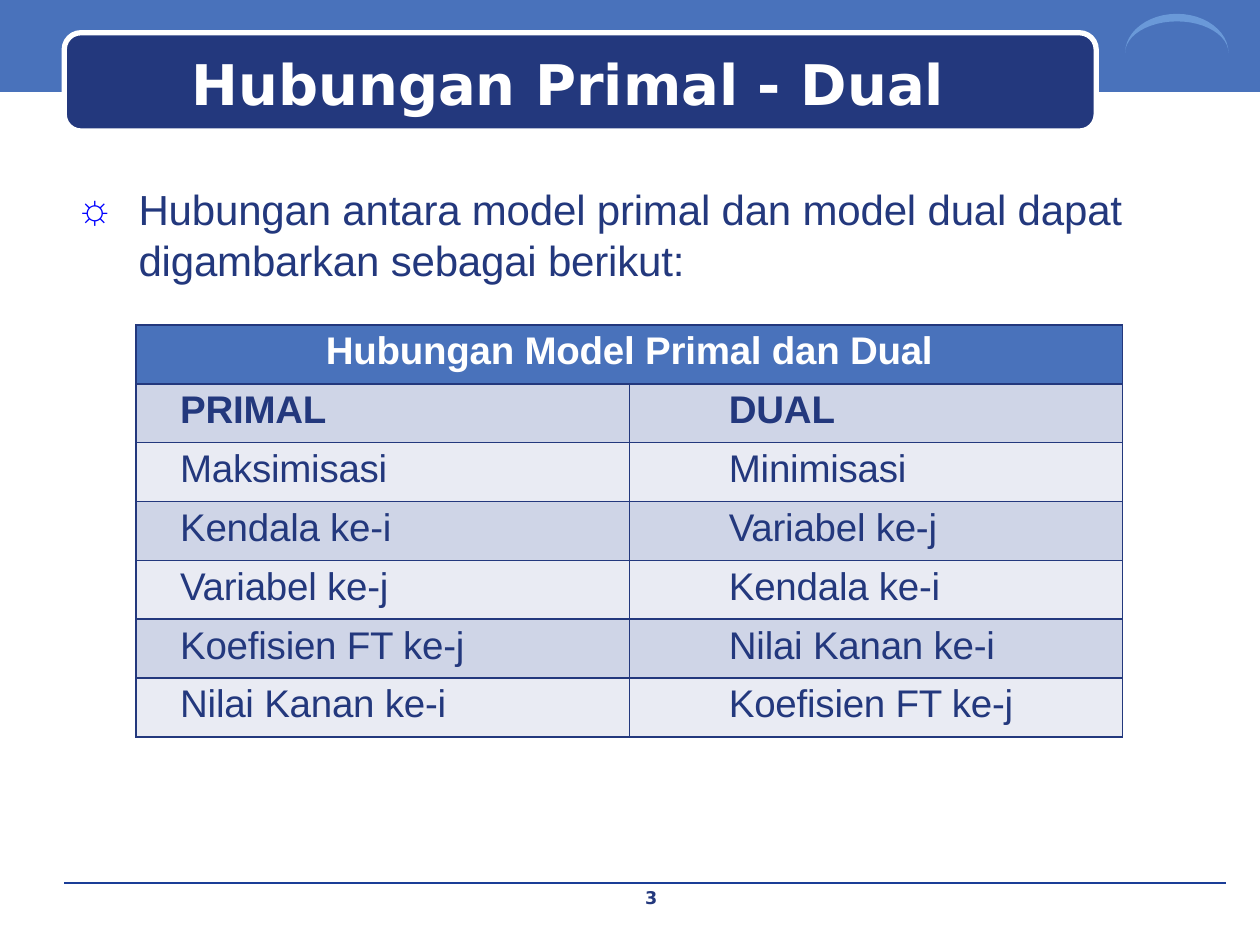
from dataclasses import dataclass
from math import cos, pi, sin

from lxml.etree import SubElement
from pptx import Presentation
from pptx.dml.color import RGBColor
from pptx.enum.shapes import MSO_CONNECTOR as Connector, MSO_SHAPE as Shape
from pptx.enum.text import PP_ALIGN as Align
from pptx.oxml.ns import qn
from pptx.util import Inches, Pt


@dataclass(frozen=True)
class Theme:
    navy: str = "23387D"
    blue: str = "4972BB"
    light_blue: str = "6A99D8"
    rule: str = "1A3D97"
    bullet: str = "0000FF"
    white: str = "FFFFFF"
    bands: tuple = ("CFD5E7", "E9EBF3")
    body_font: str = "Arial"
    title_font: str = "DejaVu Sans"
    title_size: int = 32
    body_size: int = 24
    table_size: int = 22
    number_size: int = 10


def rgb(color):
    return RGBColor.from_string(color)


def write(paragraph, text, *, size, color, font, bold=False, align=None,
          indent=0, first=0, bullet=None, spacing=-10):
    """Put formatted text into a paragraph; spacing is in 1/100 pt."""
    properties = paragraph._p.get_or_add_pPr()
    properties.set("marL", str(Inches(indent)))
    properties.set("indent", str(Inches(first)))
    if align is not None:
        paragraph.alignment = align
    if bullet:
        character, bullet_color = bullet
        bullet_fill = SubElement(properties, qn("a:buClr"))
        SubElement(bullet_fill, qn("a:srgbClr"), val=bullet_color)
        SubElement(properties, qn("a:buFont"), typeface=font)
        SubElement(properties, qn("a:buChar"), char=character)
    run = paragraph.add_run()
    run.text = text
    run.font.name = font
    run.font.size = Pt(size)
    run.font.bold = bold
    run.font.color.rgb = rgb(color)
    run._r.get_or_add_rPr().set("spc", str(spacing))


class SlideBuilder:
    def __init__(self, slide, theme):
        self.slide = slide
        self.theme = theme

    def paint(self, shape, fill, line=None, width=1):
        shape.shadow.inherit = False
        shape.fill.solid()
        shape.fill.fore_color.rgb = rgb(fill)
        if line:
            shape.line.color.rgb = rgb(line)
            shape.line.width = Pt(width)
        else:
            shape.line.fill.background()

    def box(self, kind, left, top, width, height, fill, line=None, line_width=1):
        shape = self.slide.shapes.add_shape(
            kind, Inches(left), Inches(top), Inches(width), Inches(height))
        self.paint(shape, fill, line, line_width)
        return shape

    def crescent(self, center, base, radius, outer, inner, fill, steps=24):
        """Fill the area between two half ellipses that share a base."""
        angles = [pi * step / steps for step in range(steps + 1)]
        points = [(Inches(center - radius * cos(angle)), Inches(base - height * sin(angle)))
                  for height, sweep in ((outer, angles), (inner, angles[::-1]))
                  for angle in sweep]
        builder = self.slide.shapes.build_freeform(*points[0], scale=1.0)
        builder.add_line_segments(points[1:], close=True)
        self.paint(builder.convert_to_shape(), fill)

    def line(self, left, top, right, color):
        connector = self.slide.shapes.add_connector(
            Connector.STRAIGHT, Inches(left), Inches(top), Inches(right), Inches(top))
        connector.line.color.rgb = rgb(color)
        connector.line.width = Pt(1)
        SubElement(connector._element.spPr, qn("a:effectLst"))

    def text(self, left, top, width, height, text, wrap=True, **style):
        shape = self.slide.shapes.add_textbox(
            Inches(left), Inches(top), Inches(width), Inches(height))
        frame = shape.text_frame
        frame.word_wrap = wrap
        frame.margin_left = frame.margin_right = frame.margin_bottom = 0
        frame.margin_top = Inches(0.02)
        write(frame.paragraphs[0], text, **style)

    def cell(self, cell, text, fill, **style):
        cell.margin_left = cell.margin_right = cell.margin_bottom = 0
        cell.margin_top = Inches(0.04)
        properties = cell._tc.get_or_add_tcPr()
        for side in ("lnL", "lnR", "lnT", "lnB"):
            border = SubElement(properties, qn(f"a:{side}"), w=str(Pt(1)))
            border_fill = SubElement(border, qn("a:solidFill"))
            SubElement(border_fill, qn("a:srgbClr"), val=self.theme.navy)
        cell.fill.solid()
        cell.fill.fore_color.rgb = rgb(fill)
        write(cell.text_frame.paragraphs[0], text, font=self.theme.body_font,
              size=self.theme.table_size, **style)

    def table(self, left, top, width, height, heading, rows, indents):
        theme = self.theme
        table = self.slide.shapes.add_table(
            len(rows) + 1, len(indents), Inches(left), Inches(top),
            Inches(width), Inches(height)).table
        table.cell(0, 0).merge(table.cell(0, len(indents) - 1))
        for column in range(len(indents)):
            self.cell(table.cell(0, column), "" if column else heading, theme.blue,
                      color=theme.white, bold=True, align=Align.CENTER)
        for number, row in enumerate(rows):
            for column, text in enumerate(row):
                self.cell(table.cell(number + 1, column), text, theme.bands[number % 2],
                          color=theme.navy, bold=number == 0, indent=indents[column])


def main():
    theme = Theme()
    presentation = Presentation()
    presentation.slide_width = Inches(10)
    presentation.slide_height = Inches(7.5)
    slide = presentation.slides.add_slide(presentation.slide_layouts[6])
    builder = SlideBuilder(slide, theme)

    # Header band, footer rule and title banner
    builder.box(Shape.RECTANGLE, 0, 0, 10, 0.73, theme.blue)
    builder.line(0.51, 7.01, 9.73, theme.rule)
    banner = builder.box(Shape.ROUNDED_RECTANGLE, 0.51, 0.26, 8.19, 0.78,
                         theme.navy, theme.white, 3)
    banner.adjustments[0] = 0.17
    builder.crescent(9.34, 0.42, 0.41, 0.31, 0.25, theme.light_blue)

    # Title
    builder.text(1.52, 0.37, 6, 0.56, "Hubungan Primal - Dual", wrap=False,
                 font=theme.title_font, size=theme.title_size,
                 color=theme.white, bold=True, spacing=0)

    # Introduction
    builder.text(0.59, 1.44, 8.41, 0.83,
                 "Hubungan antara model primal dan model dual dapat "
                 "digambarkan sebagai berikut:",
                 font=theme.body_font, size=theme.body_size, color=theme.navy,
                 indent=0.51, first=-0.5, bullet=("☼", theme.bullet))

    # Primal and dual table
    builder.table(1.08, 2.58, 7.83, 3.27, "Hubungan Model Primal dan Dual", [
        ("PRIMAL", "DUAL"),
        ("Maksimisasi", "Minimisasi"),
        ("Kendala ke-i", "Variabel ke-j"),
        ("Variabel ke-j", "Kendala ke-i"),
        ("Koefisien FT ke-j", "Nilai Kanan ke-i"),
        ("Nilai Kanan ke-i", "Koefisien FT ke-j"),
    ], indents=(0.35, 0.79))

    # Slide number
    builder.text(5.08, 7.02, 0.18, 0.2, "3", font=theme.title_font,
                 size=theme.number_size, color=theme.navy, bold=True, indent=0.04)

    presentation.save("out.pptx")


if __name__ == "__main__":
    main()
